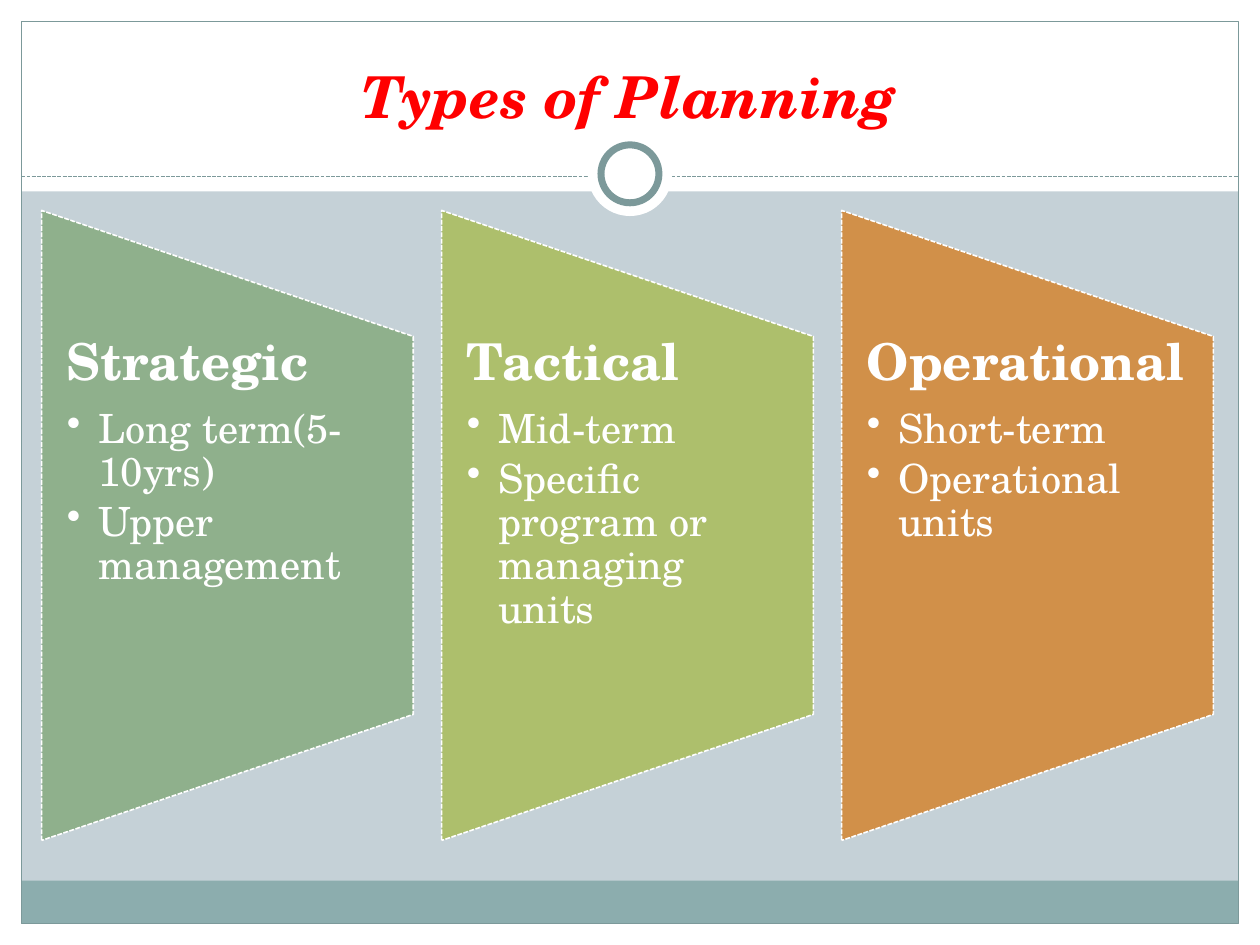
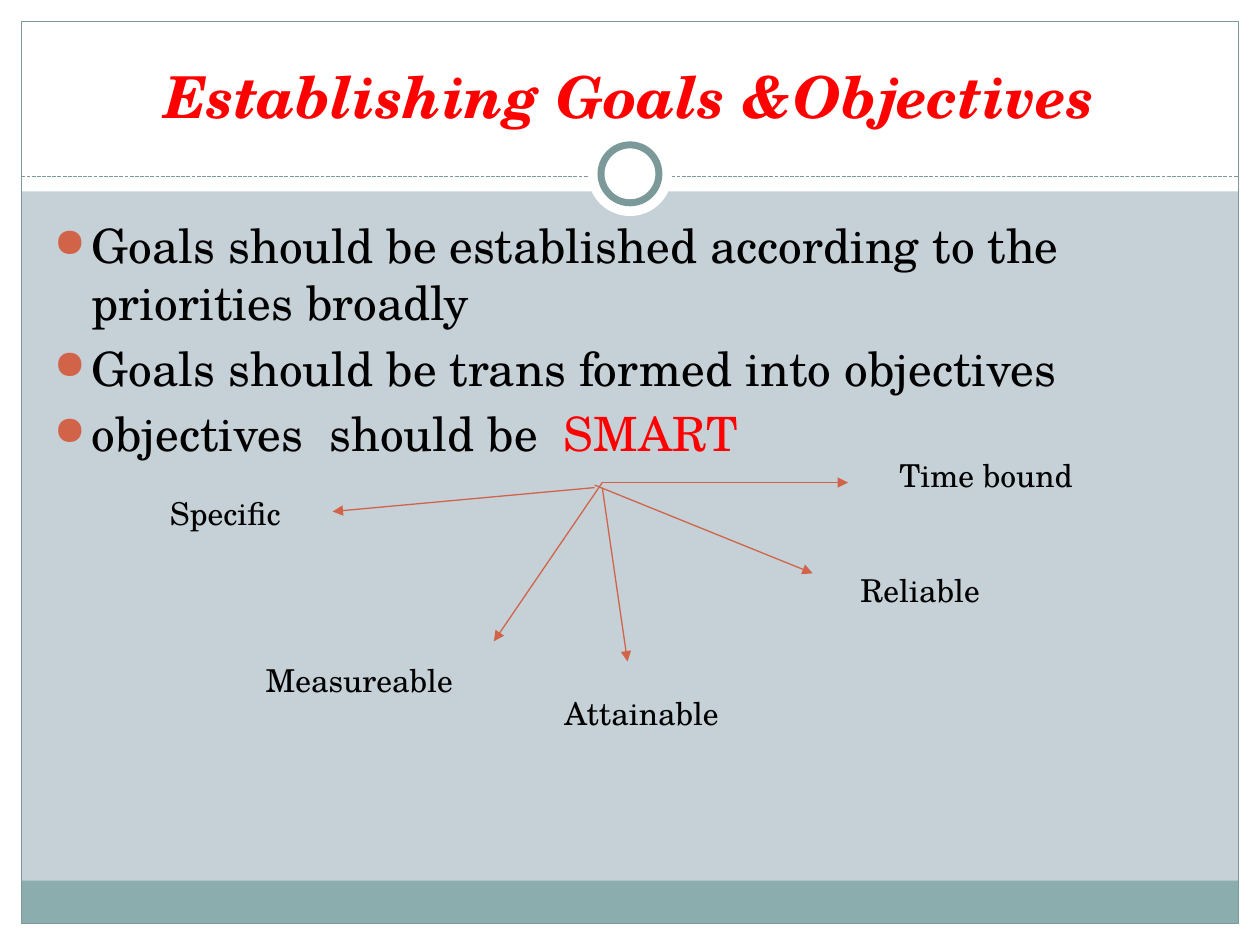
from lxml.etree import SubElement
from pptx import Presentation
from pptx.dml.color import RGBColor
from pptx.enum.dml import MSO_LINE
from pptx.enum.shapes import MSO_CONNECTOR, MSO_SHAPE
from pptx.enum.text import MSO_ANCHOR, PP_ALIGN
from pptx.oxml.ns import qn
from pptx.util import Inches, Pt

W, H = 10, 7.5
MARGIN = 0.17
FONT = "TeX Gyre Schola"
COLORS = {
    "background": "C5D1D7", "white": "FFFFFF", "black": "000000", "red": "FF0000",
    "band": "8CADAE", "frame": "7C999A", "accent": "D16349",
    "green": "8FB08C", "lime": "ADBF6C", "orange": "D19049",
}

PLANNING_TITLE = "Types of Planning"
PLANNING_TYPES = [
    ("Strategic", "green", ["Long term(5-10yrs)", "Upper management"]),
    ("Tactical", "lime", ["Mid-term", "Specific program or managing units"]),
    ("Operational", "orange", ["Short-term", "Operational units"]),
]

GOALS_TITLE = "Establishing Goals &Objectives"
GOALS = [
    [("Goals should be established according to the priorities broadly", "black")],
    [("Goals should be trans formed into objectives", "black")],
    [("objectives  should be  ", "black"), ("SMART", "red")],
]
SMART = [
    ("Specific", (1.25, 3.87, 1.34), (4.72, 3.87), (2.64, 4.06)),
    ("Measureable", (2.01, 5.2, 1.91), (4.78, 3.83), (3.92, 5.09)),
    ("Attainable", (4.38, 5.46, 1.81), (4.78, 3.87), (4.98, 5.25)),
    ("Reliable", (6.73, 4.48, 2.28), (4.72, 3.85), (6.45, 4.55)),
    ("Time bound", (7.04, 3.57, 1.98), (4.78, 3.83), (6.73, 3.83)),
]


def rgb(name):
    return RGBColor.from_string(COLORS[name])


def add_shape(s, kind, x, y, w, h, fill=None, line=None, width=0.75):
    sp = s.shapes.add_shape(kind, Inches(x), Inches(y), Inches(w), Inches(h))
    sp.shadow.inherit = False
    if fill:
        sp.fill.solid()
        sp.fill.fore_color.rgb = rgb(fill)
    else:
        sp.fill.background()
    if line:
        sp.line.color.rgb = rgb(line)
        sp.line.width = Pt(width)
    else:
        sp.line.fill.background()
    return sp


def add_line(s, start, end, color):
    cx = s.shapes.add_connector(MSO_CONNECTOR.STRAIGHT, *map(Inches, start + end))
    cx.line.color.rgb = rgb(color)
    cx.line.width = Pt(0.75)
    SubElement(cx._element.spPr, qn("a:effectLst"))
    return cx


def add_arrow(s, start, end):
    cx = add_line(s, start, end, "accent")
    SubElement(cx.line._get_or_add_ln(), qn("a:tailEnd"), type="triangle")


def add_text(s, x, y, w, h, anchor=MSO_ANCHOR.TOP):
    tf = s.shapes.add_textbox(Inches(x), Inches(y), Inches(w), Inches(h)).text_frame
    tf.word_wrap = True
    tf.vertical_anchor = anchor
    return tf


def next_paragraph(tf, first):
    return tf.paragraphs[0] if first else tf.add_paragraph()


def add_run(p, text, size, color, bold=False, italic=False):
    r = p.add_run()
    r.text = text
    r.font.name = FONT
    r.font.size = Pt(size)
    r.font.bold = bold
    r.font.italic = italic
    r.font.color.rgb = rgb(color)


def add_bullet(p, char, indent, color=None, percent=100):
    pPr = p._p.get_or_add_pPr()
    pPr.set("marL", str(Inches(indent)))
    pPr.set("indent", str(-Inches(indent)))
    if color:
        SubElement(SubElement(pPr, qn("a:buClr")), qn("a:srgbClr"), val=COLORS[color])
    SubElement(pPr, qn("a:buSzPct"), val=str(percent * 1000))
    SubElement(pPr, qn("a:buChar"), char=char)


def add_ring(s, size, **style):
    add_shape(s, MSO_SHAPE.OVAL, (W - size) / 2, 1.38 - size / 2, size, size, **style)


def add_slide(prs, title):
    s = prs.slides.add_slide(prs.slide_layouts[6])
    s.background.fill.solid()
    s.background.fill.fore_color.rgb = rgb("background")
    inner_w, inner_h = W - 2 * MARGIN, H - 2 * MARGIN
    for x, y, w, h, fill in [
        (0, H - MARGIN, W, MARGIN, "white"),
        (0, 0, W, 1.52, "white"),
        (0, 0, MARGIN, H, "white"),
        (W - MARGIN, 0, MARGIN, H, "white"),
        (MARGIN, 6.99, inner_w, 0.34, "band"),
    ]:
        add_shape(s, MSO_SHAPE.RECTANGLE, x, y, w, h, fill)
    add_shape(s, MSO_SHAPE.RECTANGLE, MARGIN, MARGIN, inner_w, inner_h, line="frame")
    rule = add_line(s, (MARGIN, 1.4), (W - MARGIN, 1.4), "frame")
    rule.line.dash_style = MSO_LINE.SQUARE_DOT
    add_ring(s, 0.67, fill="white")
    add_ring(s, 0.46, fill="white", line="frame", width=4)
    p = add_text(s, 0.33, 0.25, 9.33, 0.83, MSO_ANCHOR.BOTTOM).paragraphs[0]
    p.alignment = PP_ALIGN.CENTER
    add_run(p, title, 33, "red", bold=True, italic=True)
    return s


def add_planning_slide(prs):
    s = add_slide(prs, PLANNING_TITLE)
    left, middle, panel_w, panel_h, gap, text_h = 0.33, 4.17, 2.95, 5, 0.225, 3
    for i, (name, color, points) in enumerate(PLANNING_TYPES):
        x = left + i * (panel_w + gap)
        panel = add_shape(s, MSO_SHAPE.FLOWCHART_MANUAL_OPERATION,
                          x + (panel_w - panel_h) / 2, middle - panel_w / 2,
                          panel_h, panel_w, color, "white", 0.9)
        panel.rotation = 270
        panel.line.dash_style = MSO_LINE.SQUARE_DOT
        tf = add_text(s, x, middle - text_h / 2, panel_w, text_h)
        tf.margin_left = tf.margin_right = Inches(0.2)
        tf.margin_top = tf.margin_bottom = 0
        for j, text in enumerate([name] + points):
            heading = j == 0
            p = next_paragraph(tf, heading)
            p.line_spacing = 0.9
            p.space_after = Pt(10 if heading else 3.5)
            if not heading:
                add_bullet(p, "•", 0.25)
            add_run(p, text, 29 if heading else 23, "white", bold=heading)


def add_goals_slide(prs):
    s = add_slide(prs, GOALS_TITLE)
    tf = add_text(s, 0.33, 1.67, 9.3, 5)
    for i, runs in enumerate(GOALS):
        p = next_paragraph(tf, i == 0)
        if i:
            p.space_before = Pt(5)
        add_bullet(p, "●", 0.3, "accent", 85)
        for text, color in runs:
            add_run(p, text, 27, color)
    for label, (x, y, w), start, end in SMART:
        add_arrow(s, start, end)
        add_run(add_text(s, x, y, w, 0.4).paragraphs[0], label, 18, "black")


def main():
    prs = Presentation()
    prs.slide_width, prs.slide_height = Inches(W), Inches(H)
    add_planning_slide(prs)
    add_goals_slide(prs)
    prs.save("out.pptx")


if __name__ == "__main__":
    main()
